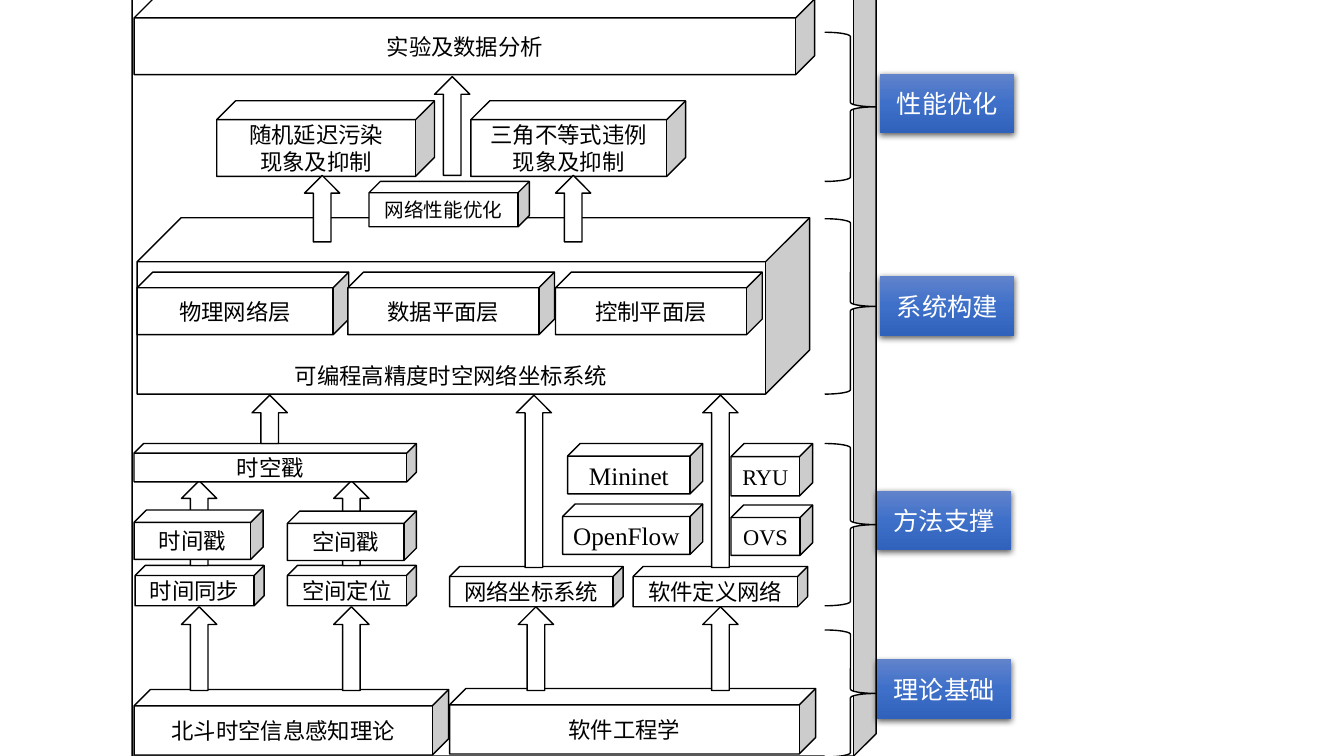
from pptx import Presentation
from pptx.dml.color import RGBColor
from pptx.enum.shapes import MSO_SHAPE
from pptx.enum.text import MSO_ANCHOR, PP_ALIGN
from pptx.oxml import parse_xml
from pptx.oxml.ns import nsdecls, qn
from pptx.util import Inches, Pt

COLORS = {"paper": "FFFFFF", "ink": "000000",
          "blue_top": "6183CB", "blue_mid": "3E70CA", "blue_low": "3062BB"}
CJK, LATIN = "Noto Sans CJK SC", "Times New Roman"


def rgb(name):
    return RGBColor.from_string(COLORS[name])


def write(shape, text, size=16, font=CJK, color="ink", wrap=False,
          anchor=MSO_ANCHOR.MIDDLE):
    frame = shape.text_frame
    frame.word_wrap = wrap
    frame.vertical_anchor = anchor
    frame.text = text
    for para in frame.paragraphs:
        para.alignment = PP_ALIGN.CENTER
        for span in para.runs:
            span.font.size = Pt(size)
            span.font.name = font
            span.font.color.rgb = rgb(color)
            east_asian = span.font._element.makeelement(qn("a:ea"), {"typeface": font})
            span.font._element.find(qn("a:latin")).addnext(east_asian)


def outlined(group, kind, left, top, width, height):
    shape = group.shapes.add_shape(
        kind, Inches(left), Inches(top), Inches(width), Inches(height))
    shape.shadow.inherit = False
    shape.fill.solid()
    shape.fill.fore_color.rgb = rgb("paper")
    shape.line.color.rgb = rgb("ink")
    shape.line.width = Pt(1)
    return shape


def block(group, text, left, top, width, height, **text_format):
    cube = outlined(group, MSO_SHAPE.CUBE, left, top, width, height)
    write(cube, text, **text_format)


def up_arrow(group, left, top, height):
    arrow = outlined(group, MSO_SHAPE.DOWN_ARROW, left, top, 0.35, height)
    arrow.rotation = 180


def stage_label(group, text, left, top):
    label = outlined(group, MSO_SHAPE.RECTANGLE, left, top, 1.33, 0.59)
    label.line.fill.background()
    properties = label._element.spPr
    stops = "".join(
        f'<a:gs pos="{place}"><a:srgbClr val="{COLORS[name]}"/></a:gs>'
        for place, name in ((0, "blue_top"), (50000, "blue_mid"), (100000, "blue_low")))
    gradient = parse_xml(
        f'<a:gradFill {nsdecls("a")} rotWithShape="1"><a:gsLst>{stops}</a:gsLst>'
        '<a:lin ang="5400000" scaled="0"/></a:gradFill>')
    properties.replace(properties.find(qn("a:solidFill")), gradient)
    shadow = parse_xml(
        f'<a:outerShdw {nsdecls("a")} blurRad="{Pt(4.5)}" dist="{Pt(1.5)}" '
        'dir="5400000" algn="ctr" rotWithShape="0">'
        f'<a:srgbClr val="{COLORS["ink"]}"><a:alpha val="63000"/></a:srgbClr>'
        '</a:outerShdw>')
    properties.find(qn("a:effectLst")).append(shadow)
    write(label, text, size=18, color="paper")


def draw_theory(group):
    block(group, "软件工程学", 4.46, 6.83, 3.63, 0.65)
    block(group, "北斗时空信息感知理论", 1.33, 6.84, 3.12, 0.65)


def draw_methods(group):
    for text, left, top, width in (
            ("空间定位", 2.85, 5.61, 1.28), ("时间同步", 1.34, 5.61, 1.28),
            ("网络坐标系统", 4.46, 5.62, 1.72), ("软件定义网络", 6.28, 5.62, 1.73)):
        block(group, text, left, top, width, 0.4)
    # Arrows from theory up to the methods
    for left in (1.8, 3.31, 5.14, 6.97):
        up_arrow(group, left, 6.02, 0.83)


def draw_system(group):
    block(group, "可编程高精度时空网络坐标系统", 1.36, 2.16, 6.67, 1.75,
          anchor=MSO_ANCHOR.BOTTOM)
    for text, left, width in (("物理网络层", 1.36, 2.1), ("数据平面层", 3.45, 2.05),
                              ("控制平面层", 5.51, 2.05)):
        block(group, text, left, 2.7, width, 0.62)


def draw_stamps_and_tools(group):
    # Arrows first, so that the blocks cover their shafts
    for left in (1.8, 3.31):
        up_arrow(group, left, 4.77, 0.84)
    for left in (5.12, 6.97):
        up_arrow(group, left, 3.92, 1.71)
    block(group, "时间戳", 1.33, 5.06, 1.28, 0.49)
    block(group, "空间戳", 2.85, 5.07, 1.28, 0.49)
    block(group, "时空戳", 1.33, 4.4, 2.8, 0.38)
    up_arrow(group, 2.5, 3.92, 0.48)
    for text, left, top, width, height, size in (
            ("OpenFlow", 5.58, 5, 1.39, 0.5, 18), ("Mininet", 5.63, 4.4, 1.34, 0.5, 18),
            ("RYU", 7.25, 4.4, 0.81, 0.52, 16), ("OVS", 7.25, 5.01, 0.81, 0.5, 16)):
        block(group, text, left, top, width, height, size=size, font=LATIN)


def draw_optimisation(group):
    block(group, "实验及数据分析", 1.33, -0.01, 6.75, 0.75)
    block(group, "随机延迟污染\n现象及抑制", 2.15, 1, 2.16, 0.75)
    block(group, "三角不等式违例现象及抑制", 4.67, 1, 2.13, 0.75, wrap=True)
    for left in (3.02, 5.51):
        up_arrow(group, left, 1.74, 0.66)
    block(group, "网络性能优化", 3.66, 1.8, 1.59, 0.45, size=14)
    up_arrow(group, 4.31, 0.76, 0.98)


def draw_stages(group):
    stages = (("理论基础", 8.7, 6.54, 6.25, 1.26), ("方法支撑", 8.7, 4.87, 4.4, 1.61),
              ("系统构建", 8.73, 2.74, 2.17, 1.74), ("性能优化", 8.73, 0.73, 0.32, 1.48))
    for _, _, _, top, height in stages:
        outlined(group, MSO_SHAPE.RIGHT_BRACE, 8.18, top, 0.51, height)
    for text, left, top, _, _ in stages:
        stage_label(group, text, left, top)


def main():
    deck = Presentation()
    deck.slide_width, deck.slide_height = Inches(13.33), Inches(7.5)
    page = deck.slides.add_slide(deck.slide_layouts[6])
    diagram = page.shapes.add_group_shape()

    # Outer frame
    frame = outlined(diagram, MSO_SHAPE.CUBE, 1.31, -0.36, 7.38, 7.86)
    frame.adjustments[0] = 0.03

    # Layers from the bottom up, then the stage names
    draw_theory(diagram)
    draw_methods(diagram)
    draw_system(diagram)
    draw_stamps_and_tools(diagram)
    draw_optimisation(diagram)
    draw_stages(diagram)
    deck.save("out.pptx")


main()
